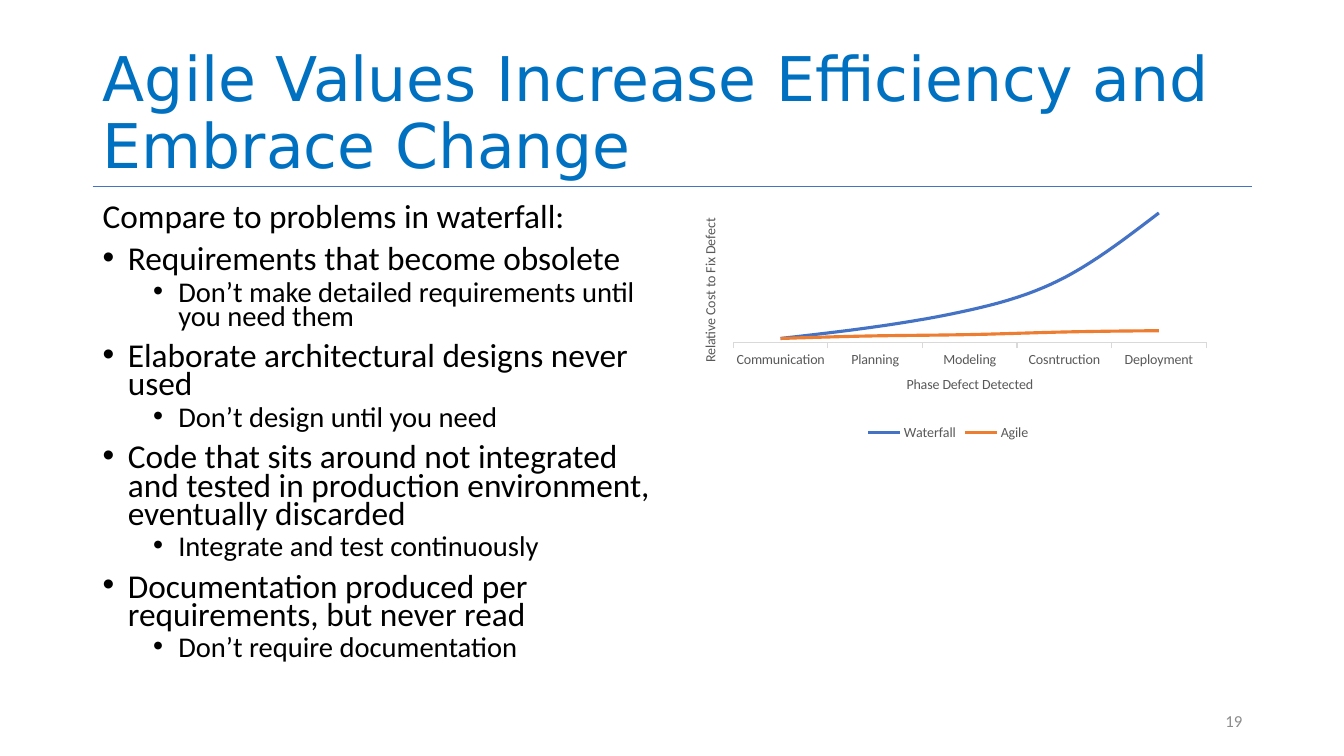
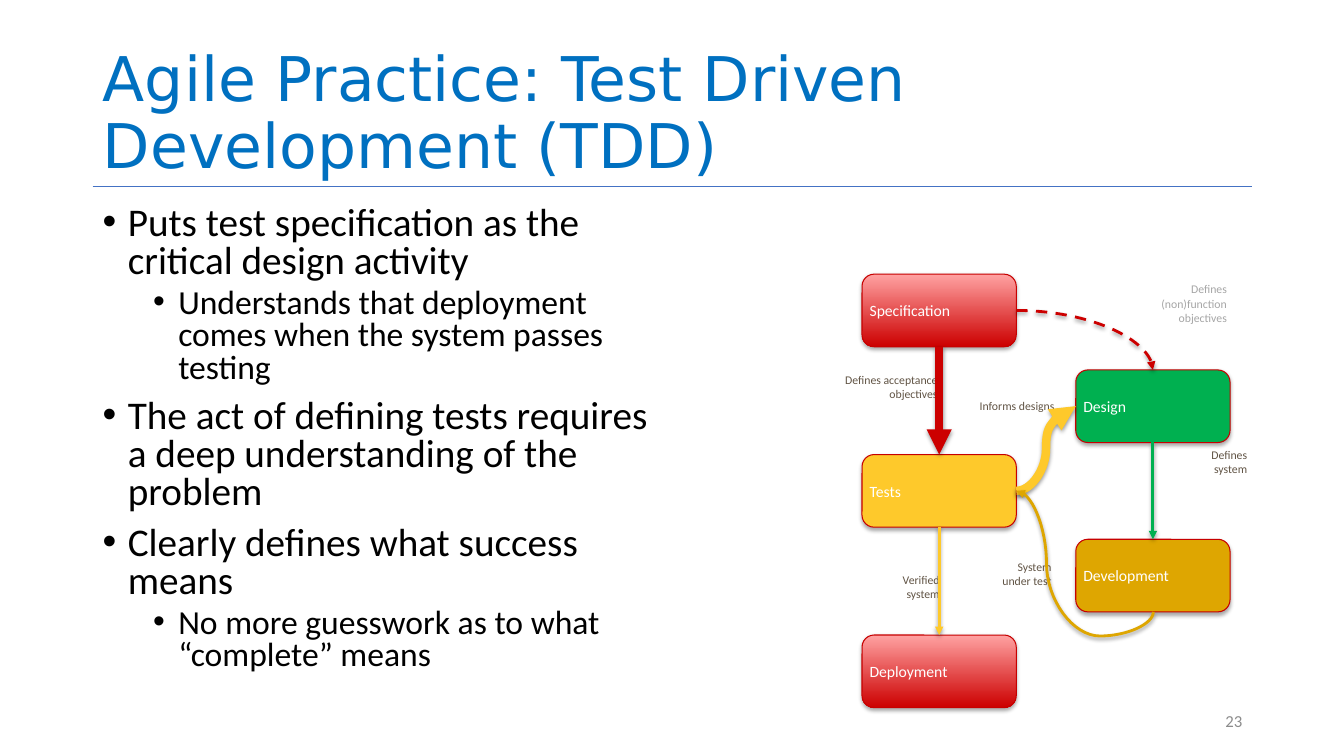
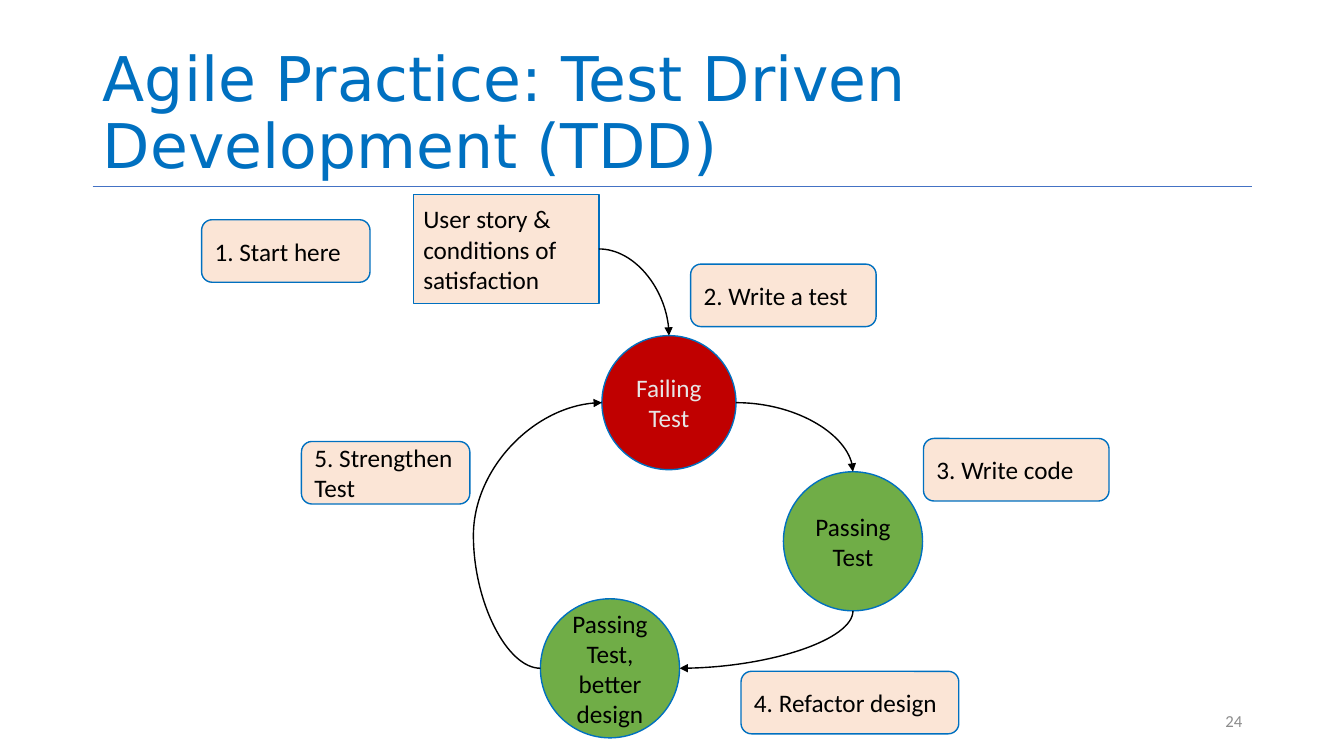
from lxml import etree
from pptx import Presentation
from pptx.chart.data import CategoryChartData
from pptx.dml.color import RGBColor
from pptx.enum.chart import XL_CHART_TYPE as CHART, XL_LEGEND_POSITION as LEGEND, XL_TICK_MARK as TICK
from pptx.enum.dml import MSO_LINE
from pptx.enum.shapes import MSO_CONNECTOR as CXN, MSO_SHAPE as SHAPE
from pptx.enum.text import MSO_ANCHOR as ANCHOR, MSO_AUTO_SIZE as FIT, PP_ALIGN as ALIGN
from pptx.oxml import parse_xml
from pptx.oxml.ns import nsdecls, qn
from pptx.util import Inches, Pt

C = {
    "title": "0070C0", "rule": "4472C4", "text": "000000", "number": "8C8C8C",
    "waterfall": "4472C4", "agile": "ED7D31", "axis": "595959", "axis_line": "D9D9D9",
    "white": "FFFFFF", "pale_red": "FFA2A2", "red": "CC0000", "edge": "C70000",
    "yellow": "FEC92B", "green": "00B050", "gold": "DEA601",
    "label": "615445", "faint": "A6A6A6",
    "peach": "FBE5D6", "fail": "C00000", "pass": "70AD47", "light": "E7E6E6",
}
FONT, TITLE_FONT = "Calibri", "DejaVu Sans"
TOP, LEFT, BOTTOM, RIGHT = range(4)
WATERFALL_PROBLEMS = [
    (None, "Compare to problems in waterfall:"),
    (0, "Requirements that become obsolete"),
    (1, "Don’t make detailed requirements until you need them"),
    (0, "Elaborate architectural designs never used"),
    (1, "Don’t design until you need"),
    (0, "Code that sits around not integrated and tested in production environment, eventually discarded"),
    (1, "Integrate and test continuously"),
    (0, "Documentation produced per requirements, but never read"),
    (1, "Don’t require documentation"),
]
TDD_POINTS = [
    (0, "Puts test specification as the critical design activity"),
    (1, "Understands that deployment comes when the system passes testing"),
    (0, "The act of defining tests requires a deep understanding of the problem"),
    (0, "Clearly defines what success means"),
    (1, "No more guesswork as to what “complete” means"),
]


def rgb(name):
    """Return the palette colour of that name."""
    return RGBColor.from_string(C[name])


def style_font(font, size, color, name=FONT):
    """Set the face, size and colour of a font."""
    font.name, font.size, font.bold = name, Pt(size), False
    font.color.rgb = rgb(color)


def write(tf, text, size=18, color="text", font=FONT, align=ALIGN.LEFT,
          anchor=ANCHOR.TOP, inset=None, spacing=None):
    """Fill a text frame with one paragraph for each line of text."""
    tf.word_wrap, tf.auto_size, tf.vertical_anchor = True, FIT.NONE, anchor
    if inset is not None:
        tf.margin_left = tf.margin_right = tf.margin_top = tf.margin_bottom = Inches(inset)
    for i, line in enumerate(text.split("\n")):
        p = tf.add_paragraph() if i else tf.paragraphs[0]
        p.alignment = align
        if spacing:
            p.line_spacing = spacing
        r = p.add_run()
        r.text = line
        style_font(r.font, size, color, font)


def text_box(s, text, x, y, w, h, **fmt):
    """Add a text box with formatted text."""
    box = s.shapes.add_textbox(Inches(x), Inches(y), Inches(w), Inches(h))
    write(box.text_frame, text, **fmt)


def add_shadow(sp, opacity, distance):
    """Give a shape or connector a soft shadow below it."""
    for old in sp._element.spPr.findall(qn("a:effectLst")):
        sp._element.spPr.remove(old)
    sp._element.spPr.append(parse_xml(
        f'<a:effectLst {nsdecls("a")}><a:outerShdw blurRad="{Pt(3)}" dist="{Pt(distance)}" '
        f'dir="5400000" rotWithShape="0"><a:srgbClr val="000000">'
        f'<a:alpha val="{opacity * 1000}"/></a:srgbClr></a:outerShdw></a:effectLst>'))


def add_node(s, kind, text, x, y, w, h, fill, edge, edge_width, **fmt):
    """Add a filled, outlined shape with text."""
    sp = s.shapes.add_shape(kind, Inches(x), Inches(y), Inches(w), Inches(h))
    sp.shadow.inherit = False
    if isinstance(fill, tuple):
        sp.fill.gradient()
        sp.fill.gradient_angle = 270
        for stop, name in zip(sp.fill.gradient_stops, fill):
            stop.color.rgb = rgb(name)
    else:
        sp.fill.solid()
        sp.fill.fore_color.rgb = rgb(fill)
    sp.line.color.rgb = rgb(edge)
    sp.line.width = Pt(edge_width)
    write(sp.text_frame, text, anchor=ANCHOR.MIDDLE, **fmt)
    return sp


def turn_upright(c):
    """Make a curve leave its start vertically instead of horizontally."""
    dx, dy = c.end_x - c.begin_x, c.end_y - c.begin_y
    mid_x, mid_y = (c.begin_x + c.end_x) // 2, (c.begin_y + c.end_y) // 2
    c.width, c.height = abs(dy), abs(dx)
    c.left, c.top = mid_x - c.width // 2, mid_y - c.height // 2
    xfrm = c._element.spPr.find(qn("a:xfrm"))
    xfrm.set("rot", "5400000")
    xfrm.set("flipH", str(int(dy < 0)))
    xfrm.set("flipV", str(int(dx > 0)))


def style_arrow(sp, color, width, dash=None, shadow=False):
    """Set the line, arrowhead and shadow of an arrow."""
    sp.line.color.rgb = rgb(color)
    sp.line.width = Pt(width)
    if dash:
        sp.line.dash_style = dash
    ln = sp._element.spPr.find(qn("a:ln"))
    etree.SubElement(ln, qn("a:tailEnd"), type="triangle")
    if shadow:
        add_shadow(sp, 38, 1.6)
    else:
        etree.SubElement(sp._element.spPr, qn("a:effectLst"))


def add_arrow(s, start, start_side, end, end_side, color="text", width=1, bends=None,
              adjust=None, **look):
    """Join two shapes with an arrow, curved when it has bends."""
    c = s.shapes.add_connector(CXN.CURVE if bends else CXN.STRAIGHT, 0, 0, 0, 0)
    c.begin_connect(start, start_side)
    c.end_connect(end, end_side)
    for tag, sp, side in (("a:stCxn", start, start_side), ("a:endCxn", end, end_side)):
        if sp.auto_shape_type == SHAPE.OVAL:
            next(c._element.iter(qn(tag))).set("idx", str(side * 2))
    if bends:
        geom = c._element.spPr.find(qn("a:prstGeom"))
        geom.set("prst", f"curvedConnector{bends}")
        if adjust is not None:
            guides = geom.find(qn("a:avLst"))
            etree.SubElement(guides, qn("a:gd"), name="adj1", fmla=f"val {round(adjust * 100000)}")
        if start_side in (TOP, BOTTOM):
            turn_upright(c)
    style_arrow(c, color, width, **look)


def add_loop_arrow(s, start, curves, color, width):
    """Draw an open arrow along cubic curves, each of three points in inches."""
    points, steps = [start], 16
    for a, b, end in curves:
        begin = points[-1]
        for i in range(1, steps + 1):
            t = i / steps
            u = 1 - t
            points.append(tuple(u ** 3 * p0 + 3 * u * u * t * p1 + 3 * u * t * t * p2 + t ** 3 * p3
                                for p0, p1, p2, p3 in zip(begin, a, b, end)))
    points = [(Inches(px), Inches(py)) for px, py in points]
    builder = s.shapes.build_freeform(*points[0])
    builder.add_line_segments(points[1:], close=False)
    sp = builder.convert_to_shape()
    sp.fill.background()
    style_arrow(sp, color, width, shadow=True)


def add_frame(prs, title, number):
    """Add a slide with its title, rule and page number."""
    s = prs.slides.add_slide(prs.slide_layouts[5])
    x, w = 0.92, 11.5
    rule = s.shapes.add_connector(CXN.STRAIGHT, Inches(x), Inches(1.85), Inches(x + w), Inches(1.85))
    rule.line.color.rgb = rgb("rule")
    rule.line.width = Pt(0.5)
    etree.SubElement(rule._element.spPr, qn("a:effectLst"))
    head = s.shapes.title
    head.left, head.top, head.width, head.height = map(Inches, (x, 0.4, w, 1.45))
    write(head.text_frame, title, size=44, color="title", font=TITLE_FONT,
          anchor=ANCHOR.BOTTOM, spacing=0.9)
    text_box(s, str(number), x + w - 3, 6.95, 3, 0.4, size=12, color="number",
             align=ALIGN.RIGHT, anchor=ANCHOR.MIDDLE)
    return s


def add_bullets(s, items, x, y, w, h, sizes, spacing):
    """Add a two-level bullet list; level None has no bullet."""
    box = s.shapes.add_textbox(Inches(x), Inches(y), Inches(w), Inches(h))
    tf = box.text_frame
    write(tf, "\n".join(text for _, text in items), spacing=spacing)
    for i, (p, (level, _)) in enumerate(zip(tf.paragraphs, items)):
        p.level = level or 0
        p.space_before = Pt((10, 5)[p.level] if i else 0)
        p.runs[0].font.size = Pt(sizes[p.level])
        if level is not None:
            pPr = p._p.get_or_add_pPr()
            pPr.set("marL", str(Inches(0.25 + 0.5 * level)))
            pPr.set("indent", str(Inches(-0.25)))
            etree.SubElement(pPr, qn("a:buFont"), typeface="Arial")
            etree.SubElement(pPr, qn("a:buChar"), char="•")


def add_axis_title(axis, text):
    """Give a chart axis a title."""
    tf = axis.axis_title.text_frame
    r = tf.paragraphs[0].add_run()
    r.text = text
    style_font(r.font, 10, "axis")
    return tf


def add_cost_chart(s, x, y, w, h):
    """Add the line chart of defect cost by phase."""
    data = CategoryChartData()
    data.categories = ["Communication", "Planning", "Modeling", "Cosntruction", "Deployment"]
    data.add_series("Waterfall", (3, 12, 25, 50, 100))
    data.add_series("Agile", (3, 5, 6, 8, 9))
    chart = s.shapes.add_chart(CHART.LINE, Inches(x), Inches(y), Inches(w), Inches(h), data).chart
    style_font(chart.font, 10, "axis")
    chart.has_title = False
    chart.has_legend = True
    chart.legend.position = LEGEND.BOTTOM
    chart.legend.include_in_layout = False
    style_font(chart.legend.font, 10, "axis")
    chart.plots[0].vary_by_categories = False
    for series, color in zip(chart.plots[0].series, ("waterfall", "agile")):
        series.smooth = color == "waterfall"
        series.format.line.color.rgb = rgb(color)
        series.format.line.width = Pt(2.25)
    phases, costs = chart.category_axis, chart.value_axis
    phases.major_tick_mark = TICK.OUTSIDE
    phases.format.line.color.rgb = rgb("axis_line")
    phases.format.line.width = Pt(0.75)
    style_font(phases.tick_labels.font, 10, "axis")
    add_axis_title(phases, "Phase Defect Detected")
    costs.visible = False
    costs.has_major_gridlines = False
    costs.minimum_scale, costs.maximum_scale = 0, 100
    tf = add_axis_title(costs, "Relative Cost to Fix Defect")
    tf._txBody.find(qn("a:bodyPr")).set("rot", "-5400000")
    area = chart._chartSpace.chart.plotArea
    for old in area.findall(qn("c:layout")):
        area.remove(old)
    places = "".join(f'<c:{k} val="{v}"/>' for k, v in
                     (("x", 0.1), ("y", 0.07), ("w", 0.88), ("h", 0.52)))
    area.insert(0, parse_xml(
        f'<c:layout {nsdecls("c")}><c:manualLayout><c:layoutTarget val="inner"/>'
        f'<c:xMode val="edge"/><c:yMode val="edge"/>{places}</c:manualLayout></c:layout>'))


def add_flow(s, x, y):
    """Draw the flow from specification to deployment."""
    left, right = x + 0.53, x + 2.65
    red = ("pale_red", "red")
    nodes = {}
    for name, nx, ny, fill in (
            ("Specification", left, 0, red), ("Tests", left, 1.79, "yellow"),
            ("Deployment", left, 3.58, red), ("Design", right, 0.95, "green"),
            ("Development", right, 2.63, "gold")):
        nodes[name] = add_node(s, SHAPE.ROUNDED_RECTANGLE, name, nx, y + ny, 1.53, 0.72, fill,
                               "edge", 0.75, size=11.2, color="white", inset=0.04)
        add_shadow(nodes[name], 35, 1.8)
    for text, dx, dy, w, h, color in (
            ("Defines\n(non)function\nobjectives", 3.09, 0.04, 1.1, 0.67, "faint"),
            ("Defines acceptance objectives", 0, 0.94, 1.32, 0.67, "label"),
            ("Informs designs", 1.16, 1.2, 1.32, 0.29, "label"),
            ("Defines\nsystem", 3.07, 1.68, 1.32, 0.48, "label"),
            ("System\nunder test", 1.13, 2.79, 1.32, 0.48, "label"),
            ("Verified\nsystem", 0.02, 2.92, 1.32, 0.48, "label")):
        text_box(s, text, x + dx, y + dy, w, h, size=8.4, color=color,
                 align=ALIGN.RIGHT, inset=0.04)
    for start, a, end, b, color, width, extra in (
            ("Tests", RIGHT, "Design", LEFT, "yellow", 6, {"bends": 3}),
            ("Specification", BOTTOM, "Tests", TOP, "red", 6, {}),
            ("Specification", RIGHT, "Design", TOP, "red", 2, {"bends": 2, "dash": MSO_LINE.DASH}),
            ("Design", BOTTOM, "Development", TOP, "green", 2, {}),
            ("Tests", BOTTOM, "Deployment", TOP, "yellow", 2, {})):
        add_arrow(s, nodes[start], a, nodes[end], b, color, width, shadow=True, **extra)
    x0, x1, x2, x3 = x + 3.42, x + 2.89, x + 2.36, x + 2.06
    y0, y1, y2, y3 = y + 3.35, y + 3.59, y + 2.87, y + 2.15
    add_loop_arrow(s, (x0, y0), (
        ((x0, y0 + 0.12), (x0 - 0.26, y1), (x1, y1)),
        ((x1 - 0.27, y1), (x2, y2 + 0.36), (x2, y2)),
        ((x2, y2 - 0.36), (x3 + 0.15, y3), (x3, y3))), "gold", 2)


def add_cycle(s, x, y):
    """Draw the test-driven cycle with its numbered steps."""
    story = add_node(s, SHAPE.RECTANGLE, "User story & conditions of satisfaction",
                     x + 2.1, y, 1.84, 1.08, "peach", "title", 1)
    for text, dx, dy, w in (
            ("1. Start here", 0, 0.25, 1.67), ("2. Write a test", 4.85, 0.69, 1.84),
            ("3. Write code", 7.16, 2.42, 1.84), ("4. Refactor design", 5.35, 4.73, 2.16),
            ("5. Strengthen Test", 0.99, 2.45, 1.67)):
        add_node(s, SHAPE.ROUNDED_RECTANGLE, text, x + dx, y + dy, w, 0.62, "peach", "title", 1)
    failing, passing, better = [
        add_node(s, SHAPE.OVAL, text, x + dx, y + dy, d, d, fill, "title", 1,
                 color=color, align=ALIGN.CENTER)
        for text, dx, dy, d, fill, color in (
            ("Failing Test", 3.97, 1.4, 1.33, "fail", "light"),
            ("Passing Test", 5.77, 2.75, 1.38, "pass", "text"),
            ("Passing Test, better design", 3.36, 4.01, 1.38, "pass", "text"))]
    add_arrow(s, story, RIGHT, failing, TOP, bends=2)
    add_arrow(s, passing, BOTTOM, better, RIGHT, bends=2)
    add_arrow(s, failing, RIGHT, passing, TOP, bends=2)
    add_arrow(s, better, LEFT, failing, LEFT, bends=3, adjust=-1.09)


def main():
    """Build the three slides and save them."""
    prs = Presentation()
    prs.slide_width, prs.slide_height = Inches(13.33), Inches(7.5)
    body = (0.92, 2, 5.67, 4.76)
    tdd = "Agile Practice: Test Driven Development (TDD)"

    s = add_frame(prs, "Agile Values Increase Efficiency and Embrace Change", 19)
    add_bullets(s, WATERFALL_PROBLEMS, *body, sizes=(23.8, 20.4), spacing=0.7)
    add_cost_chart(s, 6.74, 1.94, 5.33, 2.47)

    s = add_frame(prs, tdd, 23)
    add_bullets(s, TDD_POINTS, *body, sizes=(28, 24), spacing=0.8)
    add_flow(s, 8.02, 2.72)

    s = add_frame(prs, tdd, 24)
    add_cycle(s, 2, 1.93)
    prs.save("out.pptx")


if __name__ == "__main__":
    main()
